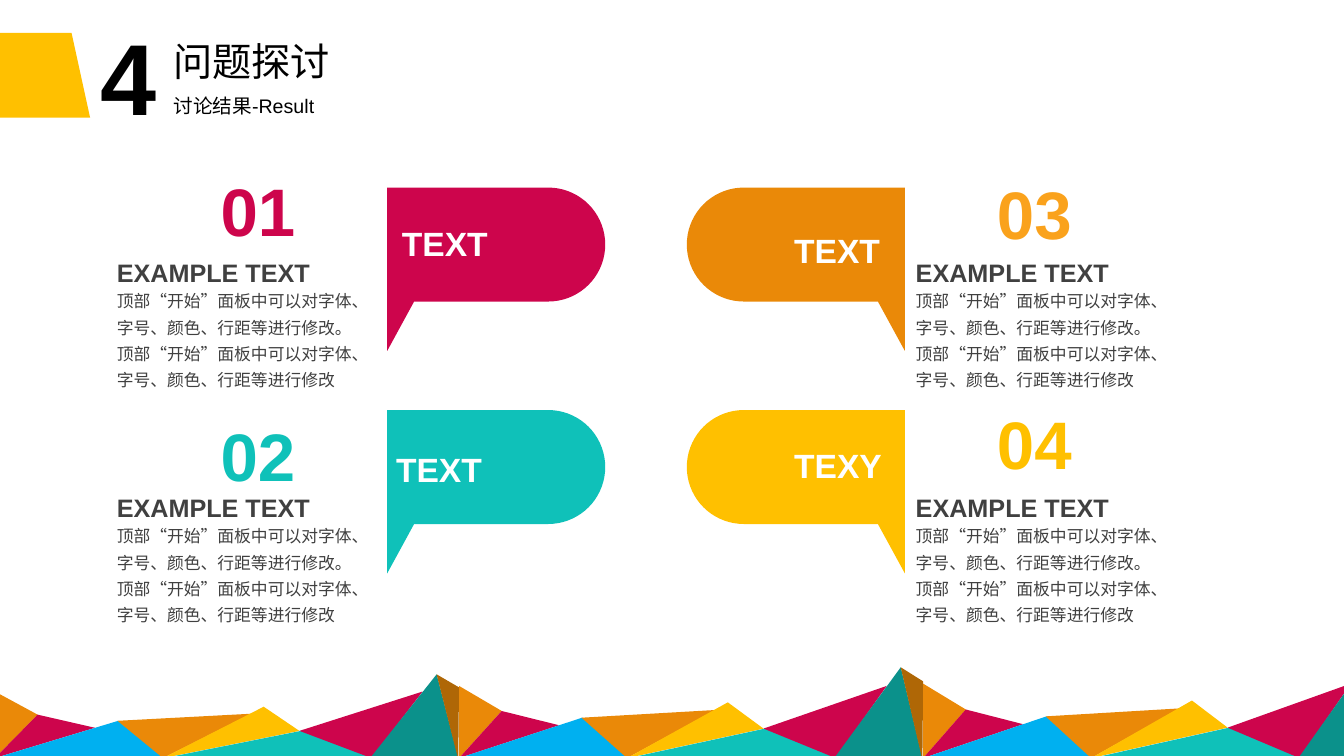
import math
from dataclasses import dataclass

from pptx import Presentation
from pptx.dml.color import RGBColor
from pptx.enum import shapes, text
from pptx.util import Pt

CRIMSON, TEAL, ORANGE, YELLOW = "CD054C", "0FC1B9", "EA8908", "FFC000"
BLUE, DARK_TEAL, BROWN, GREY = "00B0F0", "0B918B", "AF6706", "404040"
FONT = "Arial"
ADVICE = "顶部“开始”面板中可以对字体、字号、颜色、行距等进行修改。" \
         "顶部“开始”面板中可以对字体、字号、颜色、行距等进行修改"

Point = tuple[float, float]


@dataclass
class Facet:
    color: str
    corners: list[Point]


@dataclass
class Topic:
    number: str
    label: str
    color: str
    number_color: str
    number_at: Point
    label_at: Point
    bubble_at: Point
    copy_at: Point
    mirrored: bool


BASE_Y = 541.5
RANGE_START = -3.6
RANGE_PITCH = 331.5
RANGE_SCALES = [1, 1.085, 1.12]
FACETS = [
    Facet(ORANGE, [(0, 0), (0, 47.5), (30.5, 31)]),
    Facet(CRIMSON, [(0, 0), (30.5, 31), (71.5, 21.6)]),
    Facet(BLUE, [(0, 0), (88, 26.6), (121, 0)]),
    Facet(ORANGE, [(87.5, 26.6), (183.5, 31.7), (120, 0)]),
    Facet(YELLOW, [(217.5, 19.4), (120, 0), (192, 36.7)]),
    Facet(TEAL, [(270, 0), (121, 0), (218.5, 19.4)]),
    Facet(CRIMSON, [(269, 0), (217.5, 19.4), (305.5, 47.5)]),
    Facet(DARK_TEAL, [(331, 0), (268, 0), (315.5, 59.8)]),
    Facet(BROWN, [(331.5, 50.5), (331, -1.2), (315.5, 59.8)]),
]

BUBBLE_WIDTH, RADIUS, TAIL_X, TAIL_Y = 155.7, 40.7, 19.2, 116.6
ARC_STEPS = 36

TOPICS = [
    Topic("01", "TEXT", CRIMSON, CRIMSON, (150.5, 117.4), (280, 155.5),
          (276.6, 134), (76.3, 169.5), False),
    Topic("02", "TEXT", TEAL, TEAL, (150.5, 292.3), (275.8, 316.8),
          (276.6, 292.9), (76.3, 337.4), False),
    Topic("03", "TEXT", ORANGE, "FAA21C", (704.2, 119.5), (560.2, 160.6),
          (490.6, 134), (647, 169.5), True),
    Topic("04", "TEXY", YELLOW, YELLOW, (704.2, 283.7), (560.2, 314.6),
          (490.6, 292.9), (647, 337.4), True),
]


def rgb(color: str) -> RGBColor:
    return RGBColor.from_string(color)


def paint(shape, color: str) -> None:
    shape.fill.solid()
    shape.fill.fore_color.rgb = rgb(color)
    shape.line.fill.background()
    shape.shadow.inherit = False


def draw_polygon(slide, corners: list[Point], color: str) -> None:
    first, *rest = [(Pt(x), Pt(y)) for x, y in corners]
    builder = slide.shapes.build_freeform(*first, scale=1.0)
    builder.add_line_segments(rest, close=True)
    paint(builder.convert_to_shape(), color)


def write(frame, words: str, size: float, color: str, bold: bool = False,
          spacing: float = 1.0, align=text.PP_ALIGN.LEFT, wrap: bool = True) -> None:
    frame.word_wrap = wrap
    frame.auto_size = text.MSO_AUTO_SIZE.SHAPE_TO_FIT_TEXT
    frame.vertical_anchor = text.MSO_ANCHOR.TOP
    frame.text = words
    paragraph = frame.paragraphs[0]
    paragraph.alignment = align
    paragraph.line_spacing = spacing
    paragraph.font.name = FONT
    paragraph.font.size = Pt(size)
    paragraph.font.bold = bold
    paragraph.font.color.rgb = rgb(color)


def add_text(slide, at: Point, extent: Point, words: str, size: float,
             color: str, **style) -> None:
    box = slide.shapes.add_textbox(*map(Pt, at + extent))
    write(box.text_frame, words, size, color, **style)


def draw_mountains(slide) -> None:
    for index, scale in enumerate(RANGE_SCALES):
        start = RANGE_START + index * RANGE_PITCH
        for facet in FACETS:
            corners = [(start + x, BASE_Y - y * scale) for x, y in facet.corners]
            if min(x for x, _ in corners) < 960:
                draw_polygon(slide, corners, facet.color)


def draw_header(slide) -> None:
    tab = slide.shapes.add_shape(shapes.MSO_SHAPE.FLOWCHART_MANUAL_INPUT,
                                 Pt(1), Pt(20.7), Pt(60.5), Pt(66.2))
    tab.rotation = 90
    paint(tab, YELLOW)
    title = slide.shapes.title
    title.left, title.top, title.width, title.height = map(Pt, (116.6, 23, 129, 41.2))
    write(title.text_frame, "问题探讨", 28, "000000")
    add_text(slide, (116.8, 63.4), (214.6, 24.3), "讨论结果-Result", 14, "000000")
    add_text(slide, (64.5, 6.9), (105.1, 94.3), "4", 72, "000000", bold=True)


def draw_bubble(slide, topic: Topic) -> None:
    angles = [math.pi * (step / ARC_STEPS - 0.5) for step in range(ARC_STEPS + 1)]
    arc = [(BUBBLE_WIDTH - RADIUS + RADIUS * math.cos(a), RADIUS + RADIUS * math.sin(a))
           for a in angles]
    outline = [(0, 0), *arc, (TAIL_X, 2 * RADIUS), (0, TAIL_Y)]
    left, top = topic.bubble_at
    corners = [(left + (BUBBLE_WIDTH - x if topic.mirrored else x), top + y)
               for x, y in outline]
    draw_polygon(slide, corners, topic.color)


def draw_topic(slide, topic: Topic) -> None:
    draw_bubble(slide, topic)
    align = text.PP_ALIGN.RIGHT if topic.mirrored else text.PP_ALIGN.LEFT
    add_text(slide, topic.number_at, (68.4, 65.5), topic.number, 48,
             topic.number_color, bold=True, align=align, wrap=False)
    add_text(slide, topic.label_at, (80, 36), topic.label, 24, "FFFFFF",
             bold=True, wrap=False)
    left, top = topic.copy_at
    add_text(slide, (left, top), (190.8, 72.7), "EXAMPLE TEXT", 18, GREY,
             bold=True, spacing=1.5)
    add_text(slide, (left, top + 30.6), (190.8, 82.8), ADVICE, 12, GREY, spacing=1.3)


def main() -> None:
    deck = Presentation()
    deck.slide_width, deck.slide_height = Pt(960), Pt(540)
    slide = deck.slides.add_slide(deck.slide_layouts[5])
    draw_mountains(slide)
    draw_header(slide)
    for topic in TOPICS:
        draw_topic(slide, topic)
    deck.save("out.pptx")


if __name__ == "__main__":
    main()
